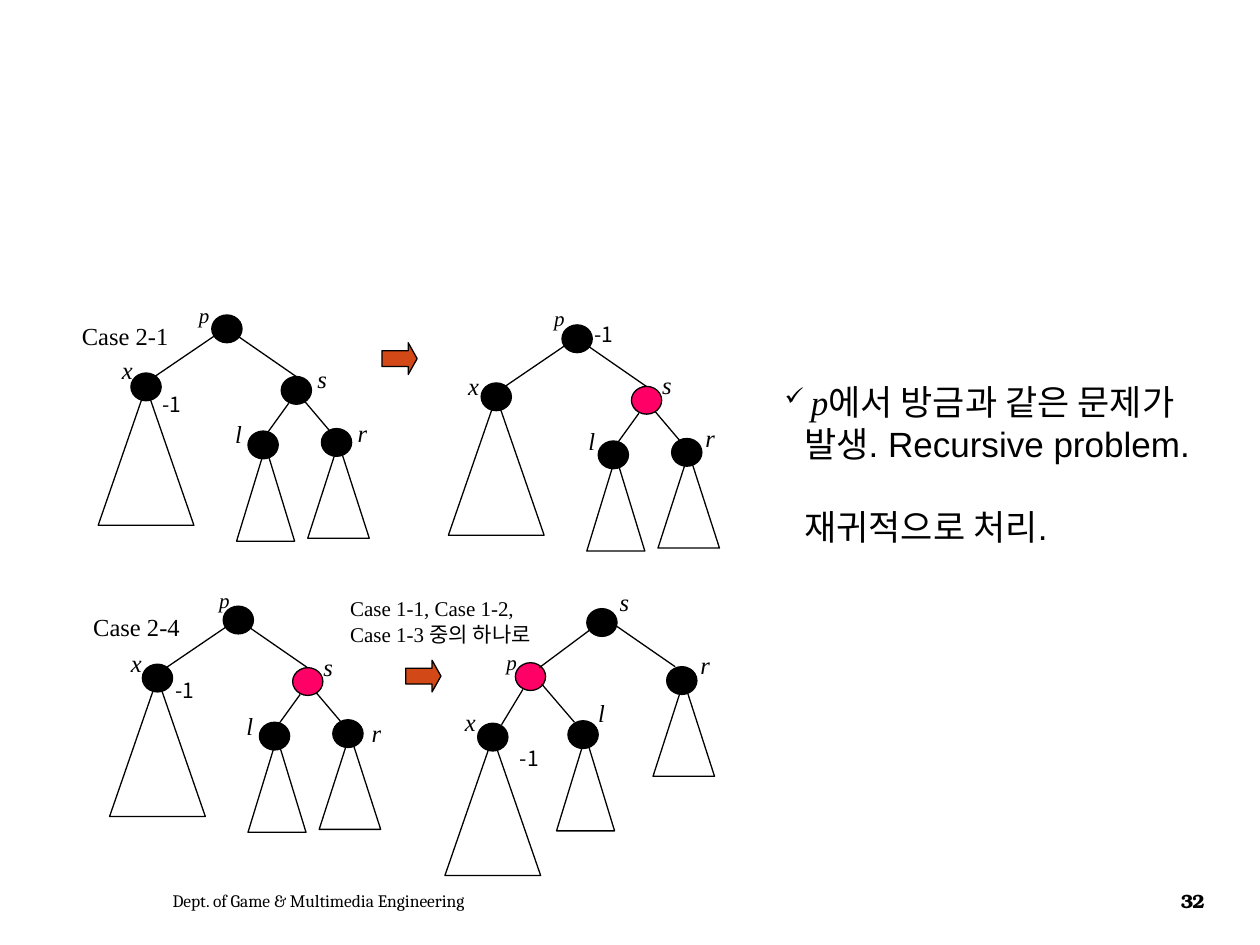
from lxml import etree
from pptx import Presentation, util as u
from pptx.dml.color import RGBColor
from pptx.enum import shapes, text
from pptx.oxml.ns import qn

BLACK, RED, ORANGE = "000000", "FF0066", "D34817"
SERIF, SANS, CJK = "Times New Roman", "Arial", "Noto Sans CJK KR"
NODE_W, NODE_H = 0.61, 0.56
LABEL_W = {"x": 0.74, "l": 0.66, "-1": 1.02}

# Tree layouts in cm from the tree's corner: nodes, then edges as x1, y1, x2, y2
SIBLING_TREE = (
    {"p": (2.29, 0), "x": (0.66, 1.17), "s": (3.69, 1.24),
     "l": (3.02, 2.34), "r": (4.5, 2.29)},
    [(2.36, 0.41, 1.14, 1.24), (2.82, 0.43, 3.99, 1.24),
     (3.84, 1.78, 3.4, 2.39), (4.17, 1.75, 4.67, 2.34)])
ROTATED_TREE = (
    {"s": (2.84, 0), "p": (1.4, 1.09), "x": (0.64, 2.31),
     "l": (2.46, 2.26), "r": (4.45, 1.17)},
    [(2.9, 0.43, 1.88, 1.19), (3.45, 0.36, 4.62, 1.17),
     (1.55, 1.63, 1.12, 2.34), (1.93, 1.52, 2.59, 2.29)])

# Subtree below a node: width, height, shift from the node's centre, drop
SUBTREES = {"x": (1.93, 2.79, 0, 0.28), "l": (1.17, 1.91, 0.05, 0.31),
            "r": (1.24, 1.92, 0.04, 0.29)}

# Corner, layout, red node, label places
TREES = [
    (1.98, 6.35, SIBLING_TREE, None,
     {"p": (1.78, -0.38), "x": (0.23, 0.69), "s": (4.17, 0.86),
      "l": (2.51, 1.98), "r": (4.98, 1.96), "-1": (1.04, 1.42)}),
    (9.04, 6.55, SIBLING_TREE, "s",
     {"p": (1.88, -0.51), "x": (0.15, 0.81), "s": (4.06, 0.79),
      "l": (2.57, 1.91), "r": (4.93, 1.85), "-1": (2.69, -0.2)}),
    (2.21, 12.22, SIBLING_TREE, "s",
     {"p": (1.96, -0.51), "x": (0.18, 0.71), "s": (4.06, 0.79),
      "l": (2.51, 1.98), "r": (5.03, 2.13), "-1": (1.07, 1.32)}),
    (8.99, 12.27, ROTATED_TREE, "p",
     {"s": (3.25, -0.56), "p": (0.97, 0.69), "x": (0.13, 1.85),
      "l": (2.82, 1.68), "r": (4.88, 0.71), "-1": (1.24, 2.64)}),
]


def color(hex_string):
    return RGBColor.from_string(hex_string)


def style(r, size, font, bold=False, italic=False):
    r.font.size, r.font.name = u.Pt(size), font
    r.font.bold, r.font.italic = bold, italic
    r.font.color.rgb = color(BLACK)


def add_text(s, x, y, w, h, content, size, font, wrap=False, **look):
    sp = s.shapes.add_textbox(u.Cm(x), u.Cm(y), u.Cm(w), u.Cm(h))
    tf = sp.text_frame
    tf.word_wrap = wrap
    tf.text = content
    for p in tf.paragraphs:
        for r in p.runs:
            style(r, size, font, **look)
    return tf


def add_shape(s, kind, x, y, w, h, fill=None):
    sp = s.shapes.add_shape(kind, u.Cm(x), u.Cm(y), u.Cm(w), u.Cm(h))
    sp.shadow.inherit = False
    if fill:
        sp.fill.solid()
        sp.fill.fore_color.rgb = color(fill)
    else:
        sp.fill.background()
    sp.line.color.rgb = color(BLACK)
    sp.line.width = u.Pt(0.75)
    return sp


def add_edge(s, x1, y1, x2, y2):
    line = s.shapes.add_connector(shapes.MSO_CONNECTOR.STRAIGHT,
                                  u.Cm(x1), u.Cm(y1), u.Cm(x2), u.Cm(y2))
    line.line.color.rgb = color(BLACK)
    line.line.width = u.Pt(0.75)
    etree.SubElement(line._element.spPr, qn("a:effectLst"))


def add_tree(s, left, top, layout, red_node, labels):
    nodes, edges = layout
    for name, (x, y) in nodes.items():
        if name in SUBTREES:
            w, h, shift, drop = SUBTREES[name]
            add_shape(s, shapes.MSO_SHAPE.ISOSCELES_TRIANGLE,
                      left + x + NODE_W / 2 + shift - w / 2, top + y + drop, w, h)
        add_shape(s, shapes.MSO_SHAPE.OVAL, left + x, top + y, NODE_W, NODE_H,
                  RED if name == red_node else BLACK)
    for x1, y1, x2, y2 in edges:
        add_edge(s, left + x1, top + y1, left + x2, top + y2)
    for name, (x, y) in labels.items():
        small, number = name in ("p", "-1"), name == "-1"
        add_text(s, left + x, top + y, LABEL_W.get(name, 0.71),
                 0.76 if small else 0.84, name, 12 if small else 14,
                 CJK if number else SERIF, italic=not number)


def add_arrow(s, x, y):
    sp = add_shape(s, shapes.MSO_SHAPE.RIGHT_ARROW, x, y, 0.71, 0.64, ORANGE)
    sp.adjustments[1] = 0.28


def add_remark(s, x, y, w, h):
    tf = add_text(s, x, y, w, h, "\n".join([
        "", "발생. Recursive problem.", "재귀적으로 처리."]), 20, SANS, wrap=True)
    first, _, last = tf.paragraphs
    for content, size, font, italic in [
            (" ", 14, SANS, False), ("p", 20, SERIF, True),
            ("에서 방금과 같은 문제가", 20, SANS, False)]:
        r = first.add_run()
        r.text = content
        style(r, size, font, italic=italic)
    last.space_before = u.Pt(23.5)
    # Hanging check mark
    for p in tf.paragraphs:
        p._p.get_or_add_pPr().set("marL", str(u.Cm(0.39)))
    pPr = first._p.get_or_add_pPr()
    pPr.set("indent", str(-u.Cm(0.39)))
    etree.SubElement(pPr, qn("a:buChar")).set("char", "✓")


def add_footer(s, top, height):
    dept = add_text(s, 3.23, top, 11.66, height,
                    "Dept. of Game & Multimedia Engineering", 10, "Cambria", wrap=True)
    number = add_text(s, 23.37, top, 1.35, height, "32", 11, "TeX Gyre Bonum",
                      wrap=True, bold=True)
    for tf in (dept, number):
        tf.vertical_anchor = text.MSO_ANCHOR.MIDDLE
    p = number.paragraphs[0]
    p.alignment = text.PP_ALIGN.CENTER
    p.runs[0]._r.get_or_add_rPr().set("spc", "-70")


def main():
    prs = Presentation()
    prs.slide_width, prs.slide_height = u.Cm(25.4), u.Cm(19.05)
    s = prs.slides.add_slide(prs.slide_layouts[6])

    # Trees before and after each step
    for tree in TREES:
        add_tree(s, *tree)

    # Case names and step arrows
    add_text(s, 1.4, 6.35, 2.26, 0.84, "Case 2-1", 14, SERIF)
    add_text(s, 1.63, 12.22, 2.26, 0.84, "Case 2-4", 14, SERIF)
    add_text(s, 6.81, 11.89, 4.34, 1.27,
             "Case 1-1, Case 1-2,\nCase 1-3 중의 하나로", 12, SERIF)
    add_arrow(s, 7.7, 6.91)
    add_arrow(s, 8.18, 13.31)

    # Remark and footer
    add_remark(s, 15.57, 7.54, 9.32, 2.79)
    add_footer(s, 17.65, 1.02)
    prs.save("out.pptx")


if __name__ == "__main__":
    main()
